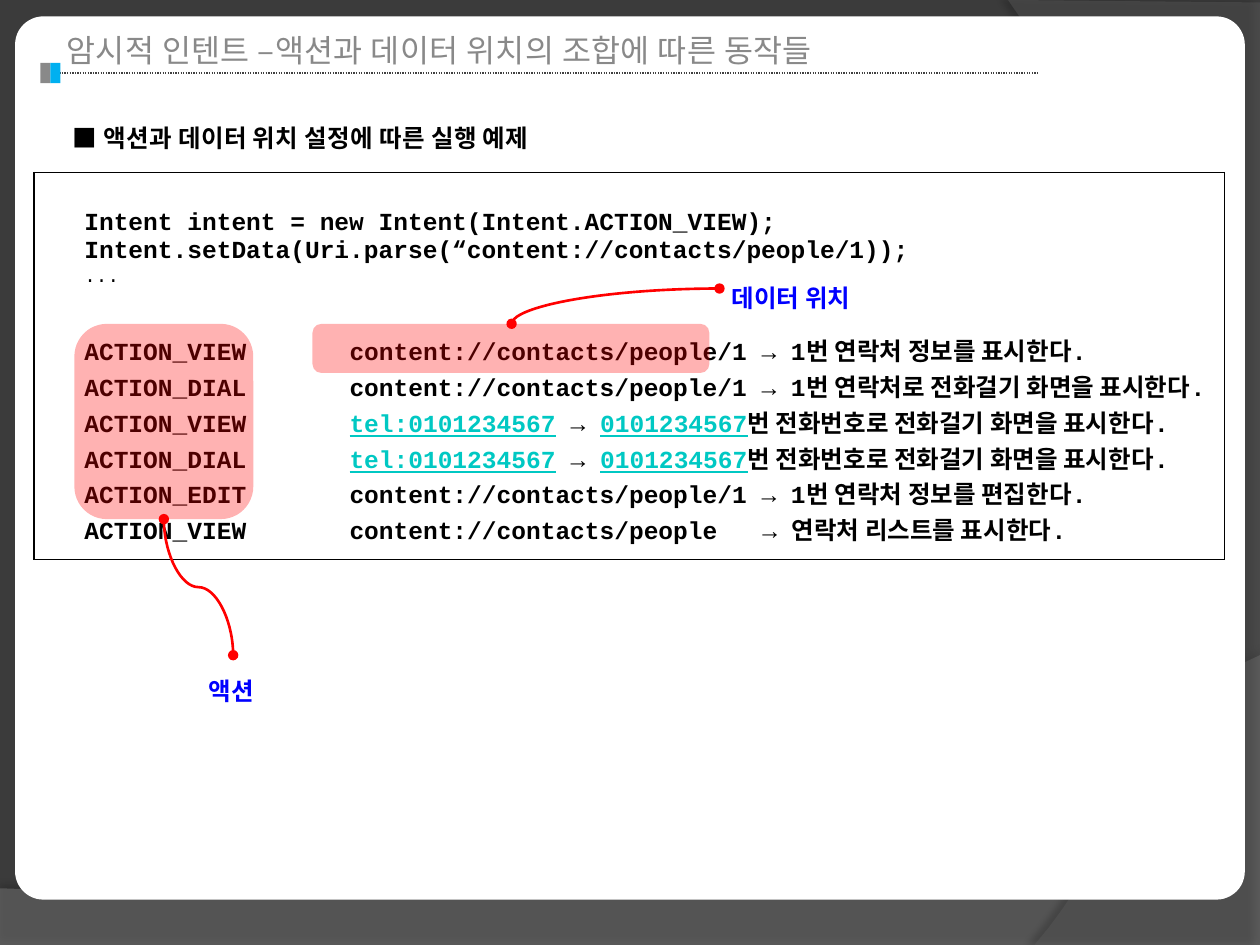
from lxml.etree import SubElement
from pptx import Presentation
from pptx.dml.color import RGBColor
from pptx.enum.dml import MSO_LINE
from pptx.enum.shapes import MSO_CONNECTOR, MSO_SHAPE
from pptx.oxml import parse_xml
from pptx.oxml.ns import nsdecls, qn
from pptx.util import Inches, Pt

COLORS = {
    "backdrop": "3B3B3B", "swoosh": "7F7F7F", "side": "5E5E5E", "panel": "FFFFFF",
    "title": "898989", "rule": "404040", "accent": "00B0F0", "text": "000000",
    "link": "00C8C3", "label": "0000FF", "mark": "FF0000",
}
KOREAN = "Noto Sans CJK KR"
CODE = "Courier New"
CODE_ADVANCE = 8.4
CONTACT = "content://contacts/people"
PHONE = "0101234567"
CALL_SCREEN = "번 전화번호로 전화걸기 화면을 표시한다."
CODE_LINES = [
    ("Intent intent = new Intent(Intent.ACTION_VIEW);", 14, True),
    ("Intent.setData(Uri.parse(“content://contacts/people/1));", 14, True),
    ("...", 11, False),
]
ACTION_ROWS = [
    ("VIEW", 7, [CONTACT + "/1", " → 1번 연락처 정보를 표시한다."]),
    ("DIAL", 7, [CONTACT + "/1", " → 1번 연락처로 전화걸기 화면을 표시한다."]),
    ("VIEW", 7, ["tel:" + PHONE, " → ", PHONE, CALL_SCREEN]),
    ("DIAL", 7, ["tel:" + PHONE, " → ", PHONE, CALL_SCREEN]),
    ("EDIT", 7, [CONTACT + "/1", " → 1번 연락처 정보를 편집한다."]),
    ("VIEW", 7, [CONTACT, 3, "→ 연락처 리스트를 표시한다."]),
]


def color(name):
    """Return the named colour."""
    return RGBColor.from_string(COLORS[name])


def paint(shape, name, alpha=100):
    """Fill a shape without outline or shadow, at a given opacity."""
    shape.shadow.inherit = False
    shape.fill.solid()
    shape.fill.fore_color.rgb = color(name)
    shape.line.fill.background()
    if alpha < 100:
        tint = shape.fill._xPr.find(qn("a:solidFill"))[0]
        SubElement(tint, qn("a:alpha"), val=str(alpha * 1000))


def add_span(para, text, size, font, name="text", bold=False, east_asian=None, tracking=0):
    """Append one formatted run to a paragraph."""
    span = para.add_run()
    span.text = text
    span.font.size = Pt(size)
    span.font.name = font
    span.font.bold = bold
    span.font.color.rgb = color(name)
    if east_asian:
        SubElement(span.font._element, qn("a:ea"), typeface=east_asian)
    if tracking:
        span.font._element.set("spc", str(round(tracking * 100)))
    return span


def add_label(page, box, text, name, size=14, font=KOREAN, bold=True, spacing=1.5, tracking=0):
    """Place a one-line text box."""
    frame = page.shapes.add_textbox(*map(Inches, box)).text_frame
    frame.word_wrap = True
    para = frame.paragraphs[0]
    para.line_spacing = spacing
    east_asian = KOREAN if font == KOREAN else None
    add_span(para, text, size, font, name, bold, east_asian, tracking)


def bezier(start, first, second, end, steps=30):
    """Return points along a cubic curve."""
    points = []
    for step in range(1, steps + 1):
        t = step / steps
        weights = ((1 - t) ** 3, 3 * t * (1 - t) ** 2, 3 * t * t * (1 - t), t ** 3)
        points.append(tuple(sum(w * p[axis] for w, p in zip(weights, (start, first, second, end)))
                            for axis in (0, 1)))
    return points


def add_backdrop_piece(page, points, name, alpha, shade, distance, direction):
    """Draw a translucent backdrop outline with a soft shadow."""
    corners = [tuple(map(Inches, point)) for point in points]
    builder = page.shapes.build_freeform(*corners[0])
    builder.add_line_segments(corners[1:], close=True)
    piece = builder.convert_to_shape()
    paint(piece, name, alpha)
    effects = piece._element.spPr.find(qn("a:effectLst"))
    shadow = SubElement(effects, qn("a:outerShdw"), blurRad=str(Pt(4)), dist=str(Pt(distance)),
                        dir=str(direction * 60000), algn="ctr", rotWithShape="0")
    tint = SubElement(shadow, qn("a:srgbClr"), val=COLORS["text"])
    SubElement(tint, qn("a:alpha"), val=str(shade * 1000))


def add_backdrop(page, width, height):
    """Draw the dark backdrop and the white panel."""
    page.background.fill.solid()
    page.background.fill.fore_color.rgb = color("backdrop")
    wave = bezier((width, 5.2), (5.59, 7.29), (3.91, 7.19), (0, 7.05))
    add_backdrop_piece(page, [(0, height), (width, height), (width, 5.2)] + wave,
                       "swoosh", 45, 35, 3.5, 270)
    bend = bezier((8.21, height), (9.35, 6.19), (10.18, 3), (8, 0))
    add_backdrop_piece(page, [(width, 0.02), (width, height), (8.21, height)] + bend,
                       "side", 40, 45, 4, 180)
    add_block(page.shapes, (0.12, 0.13, width - 0.24, 7.01), "panel", rounding=0.032)


def add_block(shapes, box, name, alpha=100, rounding=None):
    """Place a plain or rounded rectangle."""
    kind = MSO_SHAPE.ROUNDED_RECTANGLE if rounding else MSO_SHAPE.RECTANGLE
    block = shapes.add_shape(kind, *map(Inches, box))
    if rounding:
        block.adjustments[0] = rounding
    paint(block, name, alpha)


def style_connector(connector, name, width):
    """Set line colour and width and drop the shadow."""
    connector.line.color.rgb = color(name)
    connector.line.width = Pt(width)
    SubElement(connector._element.spPr, qn("a:effectLst"))


def add_title(page, left, top, width):
    """Place the title with its dotted rule and two-tone marker."""
    add_label(page, (left, top - 0.01, width, 0.4), "암시적 인텐트 –액션과 데이터 위치의 조합에 따른 동작들",
              "title", 18, "Arial", False, 1, 0.25)
    group = page.shapes.add_group_shape()
    rule_top = Inches(top + 0.37)
    rule = group.shapes.add_connector(MSO_CONNECTOR.STRAIGHT, Inches(left), rule_top,
                                      Inches(left + width), rule_top)
    style_connector(rule, "rule", 0.75)
    rule.line.dash_style = MSO_LINE.ROUND_DOT
    for index, name in enumerate(("title", "accent")):
        add_block(group.shapes, (left - 0.11 + index * 0.08, top + 0.29, 0.08, 0.16), name)


def add_code_part(para, part):
    """Append code text, or a gap when given a number of characters."""
    if isinstance(part, int):
        add_span(para, " ", 14, CODE, bold=True, tracking=(part - 1) * CODE_ADVANCE)
        return
    linked = part.endswith(PHONE)
    span = add_span(para, part, 14, CODE, "link" if linked else "text", True, KOREAN)
    span.font.underline = linked


def add_code_table(page, left, top, width, height):
    """Place the bordered cell with the code and the action rows."""
    table = page.shapes.add_table(1, 1, *map(Inches, (left, top, width, height))).table
    cell = table.cell(0, 0)
    cell.fill.background()
    cell.margin_left = cell.margin_bottom = Inches(0.12)
    cell.margin_right = Inches(0.05)
    cell.margin_top = Inches(0.3)
    for index, side in enumerate("LRTB"):
        cell._tc.tcPr.insert(index, parse_xml(
            f'<a:ln{side} {nsdecls("a")} w="{Pt(1)}"><a:solidFill>'
            f'<a:srgbClr val="{COLORS["text"]}"/></a:solidFill></a:ln{side}>'))
    frame = cell.text_frame
    for _ in range(len(CODE_LINES) + len(ACTION_ROWS) - 1):
        frame.add_paragraph()
    paras = frame.paragraphs
    for para in paras:
        para._p.get_or_add_pPr().set("marL", "0")
        para._p.pPr.set("indent", str(Inches(0.28)))
    for para, (text, size, bold) in zip(paras, CODE_LINES):
        add_span(para, text, size, CODE, bold=bold, east_asian=KOREAN)
    action_paras = paras[len(CODE_LINES):]
    action_paras[0].space_before = Pt(25)
    for para, (action, gap, parts) in zip(action_paras, ACTION_ROWS):
        for part in ["ACTION_" + action, gap] + parts:
            add_code_part(para, part)


def add_curve(page, begin, end, turn, preset):
    """Draw a curve with round ends in a frame turned by 90 or 270 degrees."""
    sign = 1 if turn == 90 else -1
    center = [(a + b) / 2 for a, b in zip(begin, end)]
    across = sign * (begin[1] - center[1])
    down = -sign * (begin[0] - center[0])
    curve = page.shapes.add_connector(MSO_CONNECTOR.CURVE, *map(Inches, (
        center[0] + across, center[1] + down, center[0] - across, center[1] - down)))
    curve._element.spPr.find(qn("a:xfrm")).set("rot", str(turn * 60000))
    curve._element.spPr.find(qn("a:prstGeom")).set("prst", preset)
    style_connector(curve, "mark", 1.5)
    for tag in ("a:headEnd", "a:tailEnd"):
        SubElement(curve.line._get_or_add_ln(), qn(tag), type="oval")


def add_callout(page, box, start, end, turn, preset, label_box, text):
    """Highlight a region and tie it to its label."""
    add_block(page.shapes, box, "mark", 30, 0.182)
    add_curve(page, start, end, turn, preset)
    add_label(page, label_box, text, "label")


def main():
    """Build and save the deck."""
    deck = Presentation()
    deck.slide_width, deck.slide_height = Inches(10), Inches(7.5)
    page = deck.slides.add_slide(deck.slide_layouts[6])
    add_backdrop(page, 10, 7.5)
    add_title(page, 0.43, 0.21, 7.8)
    add_label(page, (0.48, 0.81, 9.37, 0.45), "■ 액션과 데이터 위치 설정에 따른 실행 예제", "text", tracking=0.2)
    add_code_table(page, 0.27, 1.37, 9.45, 3.07)
    add_callout(page, (0.59, 2.57, 1.42, 1.55), (1.3, 4.12), (1.85, 5.2), 270,
                "curvedConnector3", (1.56, 5.2, 1.57, 0.45), "액션")
    add_callout(page, (2.48, 2.57, 3.15, 0.39), (4.06, 2.57), (5.71, 2.29), 90,
                "curvedConnector2", (5.71, 2.08, 1.57, 0.41), "데이터 위치")
    deck.save("out.pptx")


if __name__ == "__main__":
    main()
